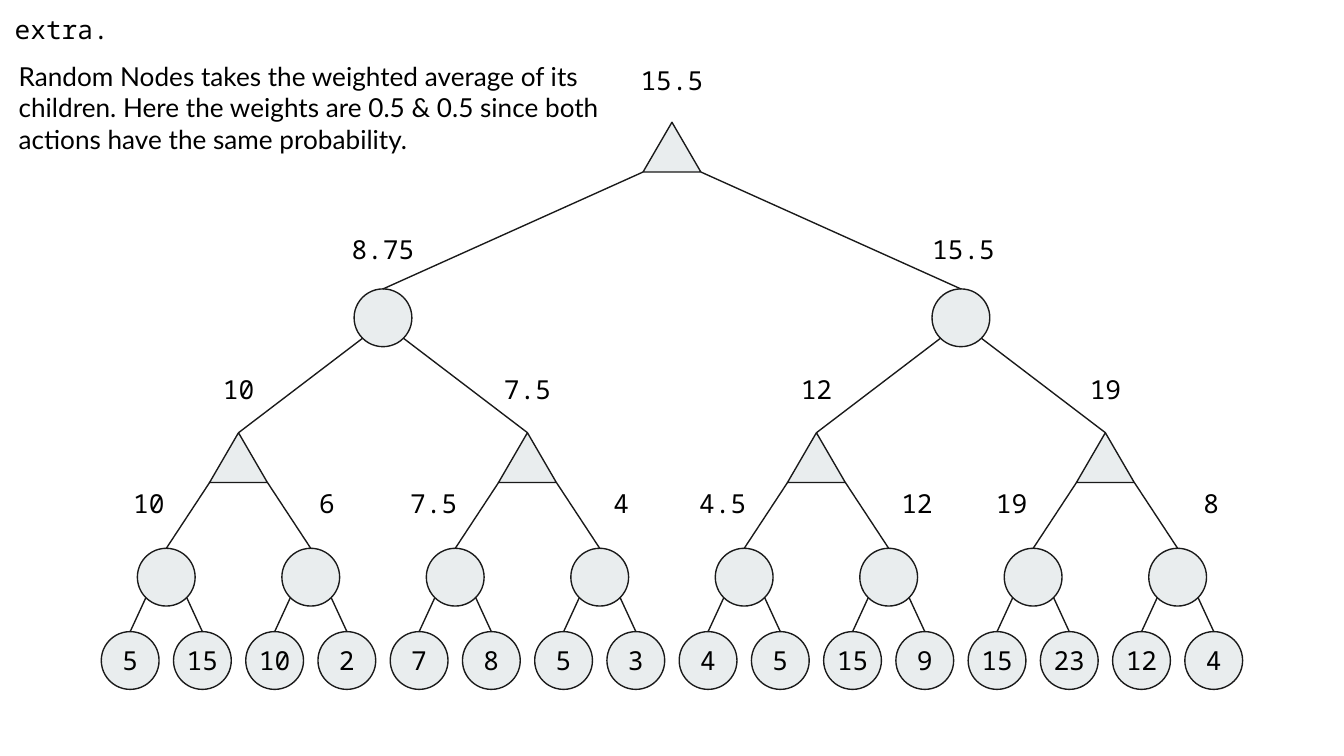
import math

from lxml import etree
from pptx import Presentation
from pptx.dml.color import RGBColor
from pptx.enum.shapes import MSO_CONNECTOR, MSO_SHAPE
from pptx.enum.text import MSO_ANCHOR, MSO_AUTO_SIZE, PP_ALIGN
from pptx.oxml.ns import qn
from pptx.util import Inches, Pt

CIRCLE = MSO_SHAPE.OVAL
TRIANGLE = MSO_SHAPE.ISOSCELES_TRIANGLE
STRAIGHT = MSO_CONNECTOR.STRAIGHT
MIDDLE = MSO_ANCHOR.MIDDLE
GROW = MSO_AUTO_SIZE.SHAPE_TO_FIT_TEXT
CENTER = PP_ALIGN.CENTER
LEFT = PP_ALIGN.LEFT

NODE_FILL = RGBColor(0xE9, 0xED, 0xEE)
OUTLINE = RGBColor(0x1A, 0x1A, 0x1A)
BLACK = RGBColor(0, 0, 0)
MONO = "Noto Sans Mono"
SANS = "Lato"

TREE_LEFT, TREE_WIDTH = 0.7, 8.6
NODE_WIDTH = 0.43
HEIGHTS = {CIRCLE: 0.43, TRIANGLE: 0.37}
LABEL_WIDTH, LABEL_HEIGHT = 0.48, 0.24

LEVELS = [(TRIANGLE, 0.91), (CIRCLE, 2.15), (TRIANGLE, 3.22), (CIRCLE, 4.08), (CIRCLE, 4.7)]
LEAVES = ["5", "15", "10", "2", "7", "8", "5", "3", "4", "5", "15", "9", "15", "23", "12", "4"]
LABEL_ROWS = [
    (0.48, ["15.5"], [0]),
    (1.74, ["8.75", "15.5"], [0, 0.02]),
    (2.78, ["10", "7.5", "12", "19"], [0] * 4),
    (3.63, ["10", "6", "7.5", "4", "4.5", "12", "19", "8"],
     [-0.13, 0.12, -0.16, 0.16, -0.16, 0.21, -0.16, 0.25]),
]


def node_center(index, count):
    return TREE_LEFT + TREE_WIDTH * (index + 0.5) / count


def write(frame, text, font_name, align, inset):
    frame.word_wrap = True
    frame.margin_left = frame.margin_right = Inches(inset)
    frame.margin_top = frame.margin_bottom = Inches(inset)
    para = frame.paragraphs[0]
    para.alignment = align
    span = para.add_run()
    span.text = text
    span.font.name = font_name
    span.font.size = Pt(14)
    span.font.color.rgb = BLACK


def add_text(page, left, top, width, height, text, font_name=MONO, align=CENTER, inset=0.1):
    box = page.shapes.add_textbox(Inches(left), Inches(top), Inches(width), Inches(height))
    write(box.text_frame, text, font_name, align, inset)
    box.text_frame.auto_size = GROW


def add_node(page, kind, center, top):
    node = page.shapes.add_shape(kind, Inches(center - NODE_WIDTH / 2), Inches(top),
                                 Inches(NODE_WIDTH), Inches(HEIGHTS[kind]))
    node.shadow.inherit = False
    node.fill.solid()
    node.fill.fore_color.rgb = NODE_FILL
    node.line.color.rgb = OUTLINE
    node.line.width = Pt(0.75)
    return node


def add_branch(page, kind, center, top, child, child_center, child_top):
    radius = NODE_WIDTH / 2
    diagonal = radius * math.sqrt(0.5)
    reach, drop = (radius, HEIGHTS[kind]) if kind == TRIANGLE else (diagonal, radius + diagonal)
    start = center + math.copysign(reach, child_center - center)
    branch = page.shapes.add_connector(STRAIGHT, Inches(start), Inches(top + drop),
                                       Inches(child_center), Inches(child_top))
    branch.end_connect(child, 0)
    branch.line.color.rgb = OUTLINE
    branch.line.width = Pt(0.75)
    etree.SubElement(branch._element.spPr, qn("a:effectLst"))


def add_tree(page):
    rows = []
    for depth, (kind, top) in enumerate(LEVELS):
        count = 2 ** depth
        rows.append([add_node(page, kind, node_center(i, count), top) for i in range(count)])
    for leaf, value in zip(rows[-1], LEAVES):
        write(leaf.text_frame, value, MONO, CENTER, 0)
        leaf.text_frame.vertical_anchor = MIDDLE
    for depth in range(1, len(LEVELS)):
        kind, top = LEVELS[depth - 1]
        count = 2 ** depth
        for i, child in enumerate(rows[depth]):
            add_branch(page, kind, node_center(i // 2, count // 2), top,
                       child, node_center(i, count), LEVELS[depth][1])


def add_labels(page):
    for top, values, shifts in LABEL_ROWS:
        for i, (value, shift) in enumerate(zip(values, shifts)):
            left = node_center(i, len(values)) + shift - LABEL_WIDTH / 2
            add_text(page, left, top, LABEL_WIDTH, LABEL_HEIGHT, value, inset=0)


def main():
    deck = Presentation()
    deck.slide_width = Inches(10)
    deck.slide_height = Inches(10 * 9 / 16)
    page = deck.slides.add_slide(deck.slide_layouts[6])
    add_tree(page)
    add_labels(page)
    add_text(page, 0, 0, 0.92, 0.44, "extra.")
    add_text(page, 0.04, 0.35, 4.64, 0.91,
             "Random Nodes takes the weighted average of its children. Here the weights "
             "are 0.5 & 0.5 since both actions have the same probability.", SANS, LEFT)
    deck.save("out.pptx")


if __name__ == "__main__":
    main()
